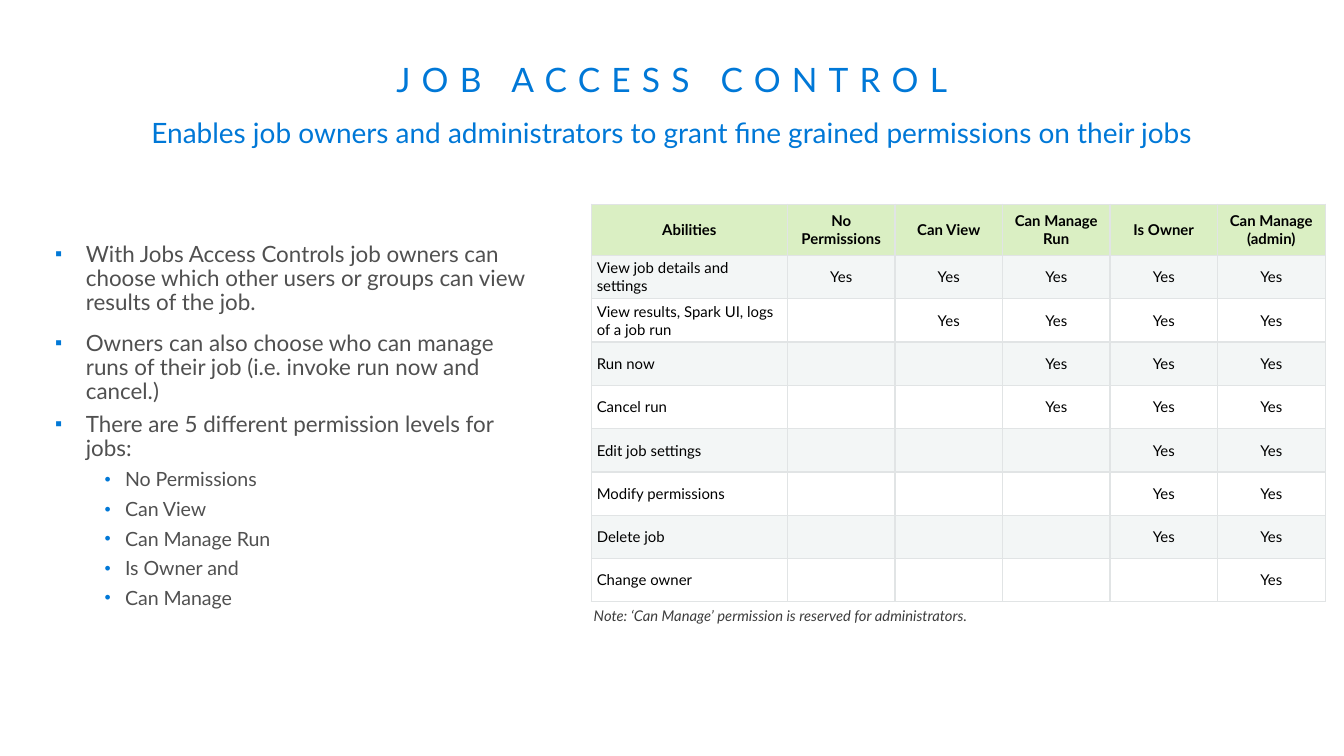
"""Build the job access control slide with its permission matrix."""
from lxml import etree
from pptx import Presentation
from pptx.dml.color import RGBColor
from pptx.enum.text import MSO_ANCHOR, MSO_AUTO_SIZE, PP_ALIGN
from pptx.oxml.ns import qn
from pptx.util import Pt

CENTER, LEFT = PP_ALIGN.CENTER, PP_ALIGN.LEFT
MIDDLE, TOP = MSO_ANCHOR.MIDDLE, MSO_ANCHOR.TOP
FIXED = MSO_AUTO_SIZE.NONE

FONT = "Lato"
BLUE = RGBColor(0x00, 0x78, 0xD7)
GRAY = RGBColor(0x50, 0x50, 0x50)
DARK = RGBColor(0x3C, 0x3C, 0x3C)
BLACK = RGBColor(0x00, 0x00, 0x00)
WHITE = RGBColor(0xFF, 0xFF, 0xFF)
GREEN = RGBColor(0xDA, 0xEF, 0xC3)
BAND = RGBColor(0xF3, 0xF6, 0xF6)
BORDER = RGBColor(0xE1, 0xE4, 0xE5)

TITLE = "JOB ACCESS CONTROL"
SUBTITLE = "Enables job owners and administrators to grant fine grained permissions on their jobs"
NOTE = "Note: ‘Can Manage’ permission is reserved for administrators."

POINTS = [
    (1, 0, "With Jobs Access Controls job owners can choose which other users or groups can view results of the job."),
    (1, 4.3, "Owners can also choose who can manage runs of their job (i.e. invoke run now and cancel.)"),
    (1, 0, "There are 5 different permission levels for jobs:"),
    (2, 0, "No Permissions"),
    (2, 0, "Can View"),
    (2, 0, "Can Manage Run"),
    (2, 0, "Is Owner and"),
    (2, 0, "Can Manage"),
]
LEVEL_STYLES = {1: ("▪", 16.5, -16.5, 12), 2: ("•", 37.5, -11, 10.5)}

HEADINGS = ["Abilities", "No Permissions", "Can View", "Can Manage Run", "Is Owner", "Can Manage (admin)"]
FIRST_GRANTED = [
    ("View job details and settings", 1),
    ("View results, Spark UI, logs of a job run", 2),
    ("Run now", 3),
    ("Cancel run", 3),
    ("Edit job settings", 4),
    ("Modify permissions", 4),
    ("Delete job", 4),
    ("Change owner", 5),
]
ABILITY_WIDTH, LEVEL_WIDTH = 105.1, 57.6
HEADING_HEIGHT, ABILITY_HEIGHT = 27.5, 23.2
CELL_FONT_SIZE = 8


def place(shape, left, top, width, height):
    shape.left, shape.top = Pt(left), Pt(top)
    shape.width, shape.height = Pt(width), Pt(height)


def set_margins(frame, horizontal, vertical):
    frame.margin_left = frame.margin_right = Pt(horizontal)
    frame.margin_top = frame.margin_bottom = Pt(vertical)


def add_child(parent, tag, **attributes):
    return etree.SubElement(parent, qn(tag), attributes)


def set_indent(paragraph, left, first, bullet=None):
    properties = paragraph._p.get_or_add_pPr()
    properties.set("marL", str(Pt(left)))
    properties.set("indent", str(Pt(first)))
    if bullet is None:
        add_child(properties, "a:buNone")
        return
    add_child(add_child(properties, "a:buClr"), "a:srgbClr", val=str(BLUE))
    add_child(properties, "a:buSzPct", val="90000")
    add_child(properties, "a:buFont", typeface="Arial")
    add_child(properties, "a:buChar", char=bullet)


def style(paragraph, size, color, align=LEFT, before=0, after=0, spacing=0.9, bold=False, italic=False):
    paragraph.alignment = align
    paragraph.line_spacing = spacing
    paragraph.space_before, paragraph.space_after = Pt(before), Pt(after)
    font = paragraph.font
    font.name, font.size, font.bold, font.italic = FONT, Pt(size), bold, italic
    font.color.rgb = color


def add_headings(title, subtitle):
    place(title, 15.84, 17.3, 688.3, 53.3)
    title.text_frame.auto_size = FIXED
    title.text_frame.vertical_anchor = MIDDLE
    set_margins(title.text_frame, 8.6, 5)
    title.text_frame.text = TITLE
    heading = title.text_frame.paragraphs[0]
    style(heading, 18, BLUE, CENTER)
    heading.runs[0]._r.get_or_add_rPr().set("spc", "600")

    place(subtitle, 15.84, 56.9, 688.3, 31)
    subtitle.text_frame.auto_size = FIXED
    subtitle.text_frame.vertical_anchor = TOP
    set_margins(subtitle.text_frame, 11.5, 7.2)
    subtitle.text_frame.text = SUBTITLE
    summary = subtitle.text_frame.paragraphs[0]
    set_indent(summary, 0, 0)
    style(summary, 15, BLUE, CENTER)


def add_points(body):
    place(body, 22.3, 126.7, 270.7, 208.8)
    body.text_frame.auto_size = FIXED
    body.text_frame.vertical_anchor = TOP
    body.text_frame.text = "\n".join(text for _, _, text in POINTS)
    for paragraph, (level, before, _) in zip(body.text_frame.paragraphs, POINTS):
        bullet, left, first, size = LEVEL_STYLES[level]
        paragraph.level = level
        set_indent(paragraph, left, first, bullet)
        style(paragraph, size, GRAY, before=before, after=4.5)


def fill_cell(cell, text, fill, align, bold):
    cell.text = text
    cell.vertical_anchor = MIDDLE
    set_margins(cell, 2.9, 1.4)
    paragraph = cell.text_frame.paragraphs[0]
    style(paragraph, CELL_FONT_SIZE, BLACK, align, spacing=1.0, bold=bold)
    if not text:
        add_child(paragraph._p, "a:endParaRPr", sz=str(CELL_FONT_SIZE * 100))
    properties = cell._tc.get_or_add_tcPr()
    for side in ("a:lnL", "a:lnR", "a:lnT", "a:lnB"):
        line = add_child(properties, side, w=str(Pt(0.75)))
        add_child(add_child(line, "a:solidFill"), "a:srgbClr", val=str(BORDER))
    cell.fill.solid()
    cell.fill.fore_color.rgb = fill


def add_permissions(slide):
    matrix = [HEADINGS] + [
        [ability] + ["Yes" if level >= first else "" for level in range(1, len(HEADINGS))]
        for ability, first in FIRST_GRANTED
    ]
    widths = [ABILITY_WIDTH] + [LEVEL_WIDTH] * (len(HEADINGS) - 1)
    heights = [HEADING_HEIGHT] + [ABILITY_HEIGHT] * len(FIRST_GRANTED)
    permissions = slide.shapes.add_table(
        len(heights), len(widths), Pt(316.8), Pt(109.4), Pt(sum(widths)), Pt(sum(heights))
    ).table
    for column, width in zip(permissions.columns, widths):
        column.width = Pt(width)
    for r, (height, texts) in enumerate(zip(heights, matrix)):
        permissions.rows[r].height = Pt(height)
        fill = GREEN if r == 0 else BAND if r % 2 else WHITE
        for c, text in enumerate(texts):
            align = LEFT if r and c == 0 else CENTER
            fill_cell(permissions.cell(r, c), text, fill, align, r == 0)


def add_note(slide):
    note = slide.shapes.add_textbox(Pt(306), Pt(322.6), Pt(229.7), Pt(15.8))
    note.text_frame.word_wrap = True
    note.text_frame.text = NOTE
    paragraph = note.text_frame.paragraphs[0]
    set_indent(paragraph, 5, 0)
    style(paragraph, 7.9, DARK, after=4.5, italic=True)


def main():
    presentation = Presentation()
    presentation.slide_width, presentation.slide_height = Pt(720), Pt(405)
    slide = presentation.slides.add_slide(presentation.slide_layouts[3])
    for leftover in list(slide.placeholders)[3:]:
        leftover.element.getparent().remove(leftover.element)
    title, subtitle, body = slide.placeholders
    add_headings(title, subtitle)
    add_points(body)
    add_permissions(slide)
    add_note(slide)
    presentation.save("out.pptx")


if __name__ == "__main__":
    main()
